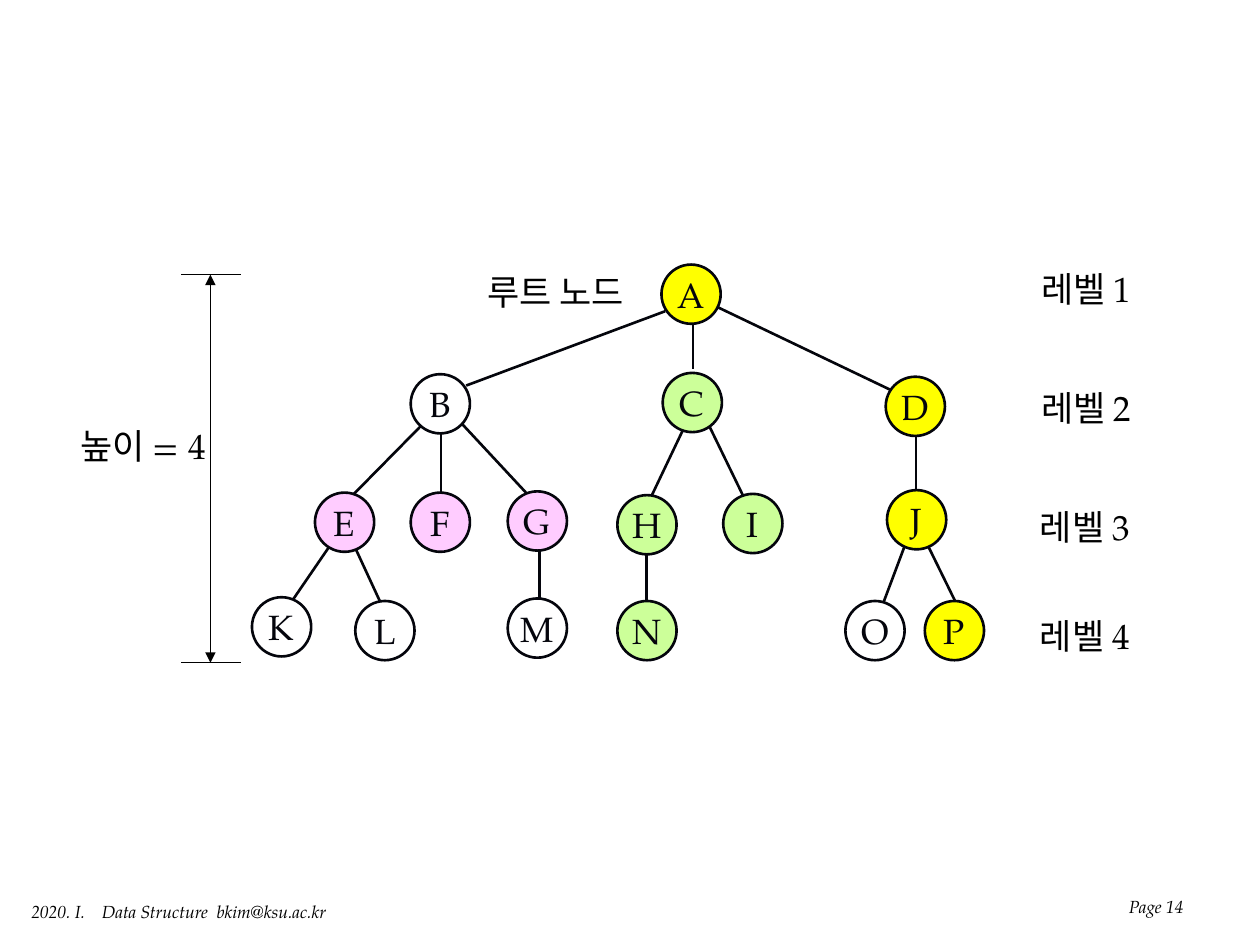
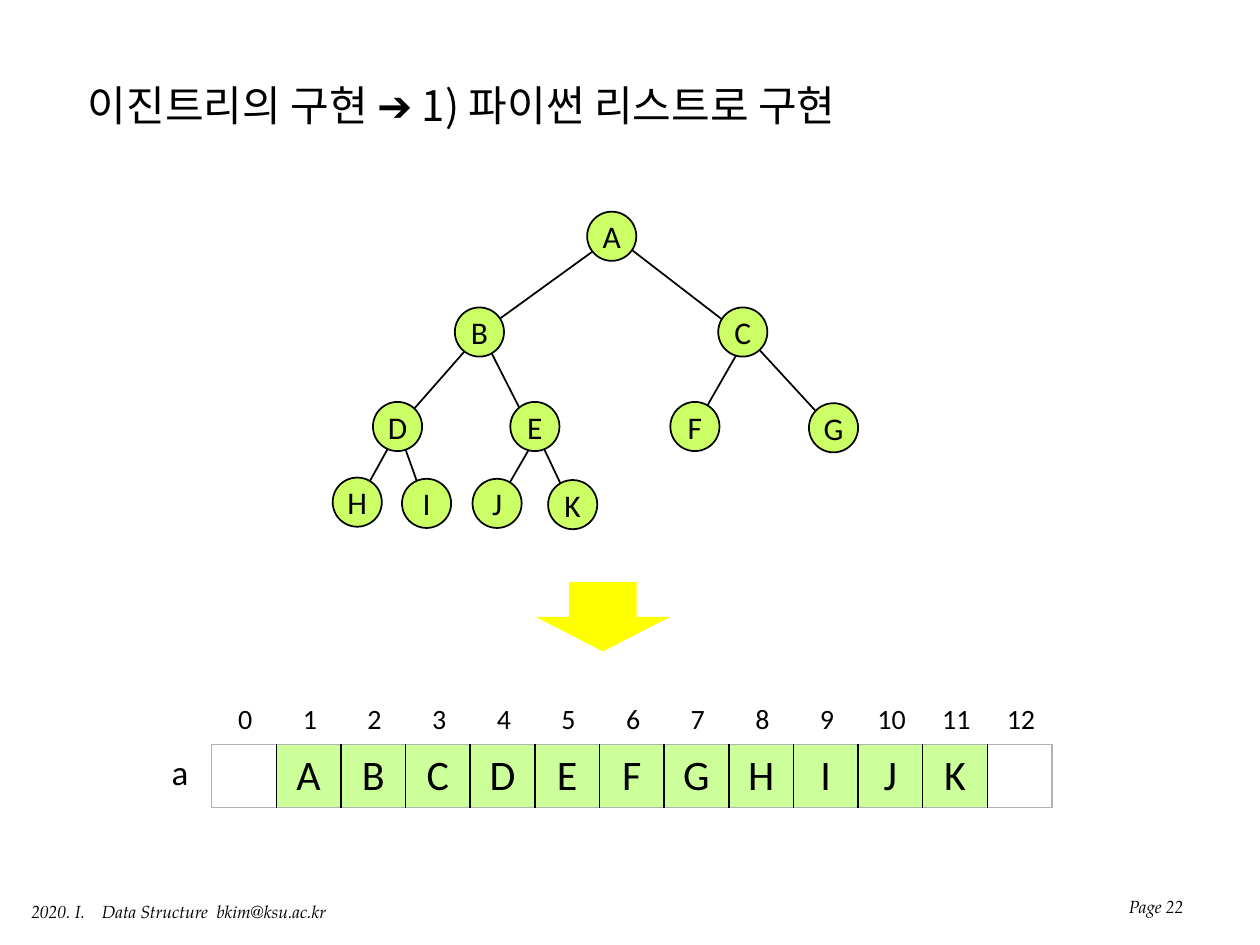
from dataclasses import dataclass
from lxml import etree
from pptx import Presentation
from pptx.dml.color import RGBColor
from pptx.enum.shapes import MSO_CONNECTOR, MSO_SHAPE
from pptx.enum.text import MSO_ANCHOR, PP_ALIGN
from pptx.oxml.ns import qn
from pptx.util import Inches, Pt


@dataclass(frozen=True)
class Theme:
    serif: str = "TeX Gyre Pagella"
    sans: str = "Calibri"
    korean: str = "Noto Sans CJK KR"
    black: str = "000000"
    ink: str = "04050C"
    white: str = "FFFFFF"
    yellow: str = "FFFF00"
    pink: str = "FFCCFF"
    green: str = "CCFF99"
    lime: str = "CCFF66"
    grey: str = "B2B2B2"
    title: int = 24
    cell: int = 24
    label: int = 20
    node: int = 18
    index: int = 16
    footer: int = 10


T = Theme()


def write(tf, text, size, font, color=T.black, align=PP_ALIGN.CENTER, italic=False):
    """Fill a text frame with one paragraph in one style."""
    p = tf.paragraphs[0]
    p.text = text
    p.alignment = align
    f = p.font
    f.size, f.name, f.italic = Pt(size), font, italic
    f.color.rgb = RGBColor.from_string(color)
    ea = etree.Element(qn("a:ea"), typeface=T.korean)
    p._p.pPr.find(qn("a:defRPr")).find(qn("a:latin")).addnext(ea)


def add_line(slide, x1, y1, x2, y2, width, color=T.black):
    cn = slide.shapes.add_connector(
        MSO_CONNECTOR.STRAIGHT, Inches(x1), Inches(y1), Inches(x2), Inches(y2))
    cn.line.width = Pt(width)
    cn.line.color.rgb = RGBColor.from_string(color)
    etree.SubElement(cn._element.spPr, qn("a:effectLst"))
    return cn


prs = Presentation()
prs.slide_width, prs.slide_height = Inches(10), Inches(7.5)
levels_slide, list_slide = [prs.slides.add_slide(prs.slide_layouts[6]) for _ in range(2)]

# Footer and page number
for slide, page in ((levels_slide, 14), (list_slide, 22)):
    sp = slide.shapes.add_textbox(Inches(0.15), Inches(7.1), Inches(2.58), Inches(0.27))
    tabs = etree.SubElement(sp.text_frame.paragraphs[0]._p.get_or_add_pPr(), qn("a:tabLst"))
    for stop in (0.56, 1.47):
        etree.SubElement(tabs, qn("a:tab"), pos=str(Inches(stop)), algn="l")
    sp.text_frame.word_wrap = False
    write(sp.text_frame, "2020. I.\tData Structure\tbkim@ksu.ac.kr", T.footer, T.serif,
          align=PP_ALIGN.LEFT, italic=True)

    sp = slide.shapes.add_textbox(Inches(7.67), Inches(6.83), Inches(1.82), Inches(0.5))
    sp.text_frame.word_wrap = True
    sp.text_frame.vertical_anchor = MSO_ANCHOR.BOTTOM
    write(sp.text_frame, f"Page {page}", T.footer, T.serif,
          align=PP_ALIGN.RIGHT, italic=True)

# Slide 1: labels beside the tree
labels = [
    ("레벨 1", 7.99, 2.07, 1.26), ("레벨 2", 7.99, 3.02, 1.26),
    ("레벨 3", 7.98, 3.96, 1.26), ("레벨 4", 7.98, 4.83, 1.26),
    ("높이 = 4", 0.35, 3.32, 1.57), ("루트 노드", 3.67, 2.1, 1.48),
]
for text, x, y, w in labels:
    sp = levels_slide.shapes.add_textbox(Inches(x), Inches(y), Inches(w), Inches(0.44))
    sp.text_frame.word_wrap = True
    write(sp.text_frame, text, T.label, T.serif)

# Slide 1: height measure
top, bottom = 2.18, 5.26
for y in (top, bottom):
    add_line(levels_slide, 1.44, y, 1.91, y, 0.75)
measure = add_line(levels_slide, 1.67, bottom, 1.67, top, 0.75)
for end in ("a:headEnd", "a:tailEnd"):
    etree.SubElement(measure.line._get_or_add_ln(), qn(end), type="triangle")

# Both trees: edges (x1, y1, x2, y2) and nodes (letter, left, top, fill)
level_edges = [
    (5.28, 2.47, 3.7, 3.06), (5.5, 2.57, 5.5, 2.93), (5.47, 2.33, 7.33, 3.22),
    (3.44, 3.28, 2.77, 3.96), (3.5, 3.43, 3.5, 3.98), (3.57, 3.26, 4.24, 3.98),
    (5.45, 3.35, 5.15, 3.98), (5.58, 3.28, 5.92, 3.98), (7.27, 3.47, 7.27, 3.9),
    (2.77, 4.11, 2.27, 4.84), (2.76, 4.22, 3.07, 4.89), (4.28, 4.28, 4.28, 4.82),
    (5.13, 4.3, 5.13, 4.83), (7.2, 4.28, 6.96, 4.92), (7.34, 4.28, 7.59, 4.79),
]
level_nodes = [
    ("A", 5.25, 2.1, T.yellow),
    ("B", 3.26, 2.97, T.white), ("C", 5.26, 2.96, T.green), ("D", 7.03, 2.99, T.yellow),
    ("E", 2.5, 3.91, T.pink), ("F", 3.26, 3.91, T.pink), ("G", 4.03, 3.9, T.pink),
    ("H", 4.9, 3.93, T.green), ("I", 5.74, 3.92, T.green), ("J", 7.04, 3.89, T.yellow),
    ("K", 2, 4.74, T.white), ("L", 2.82, 4.77, T.white), ("M", 4.03, 4.75, T.white),
    ("N", 4.9, 4.77, T.green), ("O", 6.71, 4.77, T.white), ("P", 7.34, 4.77, T.yellow),
]
binary_edges = [
    (4.85, 1.89, 3.8, 2.65), (4.88, 1.88, 5.88, 2.65),
    (3.8, 2.66, 3.15, 3.4), (3.9, 2.8, 4.21, 3.41),
    (5.94, 2.65, 5.51, 3.4), (5.92, 2.66, 6.61, 3.41),
    (3.15, 3.43, 2.83, 4.01), (3.17, 3.43, 3.38, 4.02),
    (4.26, 3.46, 3.93, 4.03), (4.27, 3.46, 4.53, 4.01),
]
binary_nodes = [
    ("A", 4.66, 1.68, T.lime), ("B", 3.61, 2.44, T.lime), ("C", 5.7, 2.44, T.lime),
    ("D", 2.96, 3.19, T.lime), ("E", 4.05, 3.19, T.lime), ("F", 5.32, 3.19, T.lime),
    ("G", 6.42, 3.2, T.lime), ("H", 2.64, 3.79, T.lime), ("I", 3.19, 3.8, T.lime),
    ("J", 3.75, 3.8, T.lime), ("K", 4.35, 3.81, T.lime),
]
trees = [
    (levels_slide, level_edges, level_nodes, 0.47, 1.5, T.ink, T.label, T.serif),
    (list_slide, binary_edges, binary_nodes, 0.39, 1, T.black, T.node, T.sans),
]
for slide, edges, nodes, size, width, color, pt, font in trees:
    for edge in edges:
        add_line(slide, *edge, width, color)
    for letter, x, y, fill in nodes:
        sp = slide.shapes.add_shape(
            MSO_SHAPE.OVAL, Inches(x), Inches(y), Inches(size), Inches(size))
        sp.shadow.inherit = False
        sp.fill.solid()
        sp.fill.fore_color.rgb = RGBColor.from_string(fill)
        sp.line.width = Pt(width)
        sp.line.color.rgb = RGBColor.from_string(color)
        tf = sp.text_frame
        tf.word_wrap = False
        tf.vertical_anchor = MSO_ANCHOR.MIDDLE
        tf.margin_left = tf.margin_right = tf.margin_top = tf.margin_bottom = 0
        write(tf, letter, pt, font, color)

# Slide 2: title, list name and arrow
sp = list_slide.shapes.add_textbox(Inches(0.6), Inches(0.36), Inches(7.64), Inches(0.94))
sp.text_frame.word_wrap = True
sp.text_frame.vertical_anchor = MSO_ANCHOR.MIDDLE
write(sp.text_frame, "이진트리의 구현 ➔ 1) 파이썬 리스트로 구현", T.title, T.korean,
      align=PP_ALIGN.LEFT)

sp = list_slide.shapes.add_textbox(Inches(1.15), Inches(5.91), Inches(0.56), Inches(0.44))
sp.text_frame.word_wrap = True
write(sp.text_frame, "a", T.label, T.sans)

arrow = list_slide.shapes.add_shape(
    MSO_SHAPE.DOWN_ARROW, Inches(4.25), Inches(4.62), Inches(1.07), Inches(0.55))
arrow.shadow.inherit = False
arrow.fill.solid()
arrow.fill.fore_color.rgb = RGBColor.from_string(T.yellow)
arrow.line.fill.background()

# Slide 2: list cells and their indices
values = ["", *"ABCDEFGHIJK", ""]
rows = [
    (values, 1.68, 5.91, T.cell, True),
    ([str(i) for i in range(len(values))], 1.69, 5.51, T.index, False),
]
for texts, x, y, pt, boxed in rows:
    table = list_slide.shapes.add_table(
        1, len(texts), Inches(x), Inches(y), Inches(6.67), Inches(0.41)).table
    table.first_row = table.horz_banding = False
    table.rows[0].height = Inches(0.41)
    for i, text in enumerate(texts):
        table.columns[i].width = Inches(6.67 / len(texts))
        cell = table.cell(0, i)
        cell.vertical_anchor = MSO_ANCHOR.MIDDLE
        if text:
            write(cell.text_frame, text, pt, T.sans)
        tcPr = cell._tc.get_or_add_tcPr()
        outer = {"a:lnL": i == 0, "a:lnR": i == len(texts) - 1, "a:lnT": True, "a:lnB": True}
        for side, is_outer in outer.items():
            ln = etree.SubElement(tcPr, qn(side), w=str(Pt(1) if boxed else 0))
            if boxed:
                paint = etree.SubElement(ln, qn("a:solidFill"))
                etree.SubElement(paint, qn("a:srgbClr"), val=T.grey if is_outer else T.black)
            else:
                etree.SubElement(ln, qn("a:noFill"))
        if boxed and text:
            cell.fill.solid()
            cell.fill.fore_color.rgb = RGBColor.from_string(T.green)
        else:
            cell.fill.background()

prs.save("out.pptx")
